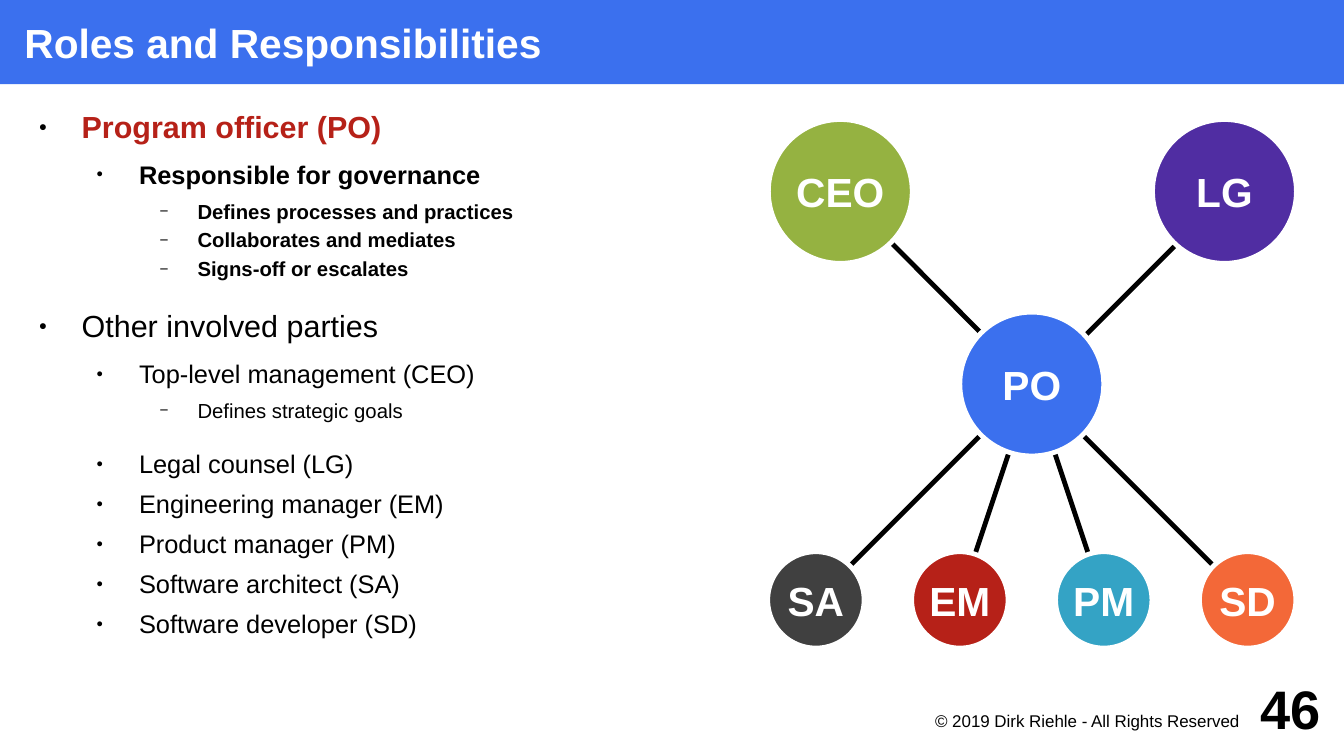
from dataclasses import dataclass

from lxml import etree
from pptx import Presentation
from pptx.dml.color import RGBColor
from pptx.enum import shapes, text
from pptx.oxml import ns
from pptx.util import Inches, Pt


@dataclass(frozen=True)
class Theme:
    font: str = "Arial"
    white: str = "FFFFFF"
    black: str = "000000"
    blue: str = "3B70EE"
    red: str = "B62118"
    green: str = "95B241"
    purple: str = "502DA2"
    gray: str = "404040"
    cyan: str = "34A3C5"
    orange: str = "F36838"
    heading_size: float = 24
    number_size: float = 32
    copyright_size: float = 10
    stroke: float = 2.83


THEME = Theme()


@dataclass(frozen=True)
class Level:
    size: float
    line_height: float
    after: float
    margin: float
    hanging: float
    bullet: str
    bullet_percent: int


@dataclass(frozen=True)
class Point:
    level: int
    wording: str
    bold: bool = False
    color: str = THEME.black
    gap: float = 0


@dataclass(frozen=True)
class Role:
    label: str
    x: float
    y: float
    diameter: float
    color: str


@dataclass(frozen=True)
class Link:
    role: Role
    drop: float = 0


LEVELS = [
    Level(18, 21.4, 8.4, 0.47, 0.35, "●", 45),
    Level(15, 17.9, 5.7, 0.94, 0.35, "●", 45),
    Level(12, 14.3, 2.8, 1.42, 0.31, "−", 75),
]
SECTION_GAP = 12.9

POINTS = [
    Point(0, "Program officer (PO)", True, THEME.red),
    Point(1, "Responsible for governance", True),
    Point(2, "Defines processes and practices", True),
    Point(2, "Collaborates and mediates", True),
    Point(2, "Signs-off or escalates", True, gap=SECTION_GAP),
    Point(0, "Other involved parties"),
    Point(1, "Top-level management (CEO)"),
    Point(2, "Defines strategic goals", gap=SECTION_GAP),
    Point(1, "Legal counsel (LG)"),
    Point(1, "Engineering manager (EM)"),
    Point(1, "Product manager (PM)"),
    Point(1, "Software architect (SA)"),
    Point(1, "Software developer (SD)"),
]

LARGE, SMALL = 1.18, 0.79
officer = Role("PO", 8.46, 3.15, LARGE, THEME.blue)
ceo = Role("CEO", 6.89, 1.57, LARGE, THEME.green)
legal = Role("LG", 10.04, 1.57, LARGE, THEME.purple)
TEAM_LEFT, TEAM_STEP, TEAM_Y = 6.69, 1.18, 4.92
team = [
    Role(label, TEAM_LEFT + i * TEAM_STEP, TEAM_Y, SMALL, color)
    for i, (label, color) in enumerate([
        ("SA", THEME.gray), ("EM", THEME.red),
        ("PM", THEME.cyan), ("SD", THEME.orange),
    ])
]
links = [Link(ceo), Link(legal, 0.04), *map(Link, team)]


def rgb(color: str) -> RGBColor:
    return RGBColor.from_string(color)


def style(paragraph, size: float, color: str, bold: bool = False) -> None:
    font = paragraph.font
    font.name = THEME.font
    font.size = Pt(size)
    font.bold = bold
    font.color.rgb = rgb(color)


def set_frame(frame, insets: tuple, anchor, wrap: bool = True) -> None:
    frame.word_wrap = wrap
    frame.vertical_anchor = anchor
    (frame.margin_left, frame.margin_top,
     frame.margin_right, frame.margin_bottom) = map(Inches, insets)


def add_label(frame, wording: str, align, size: float, color: str, bold: bool) -> None:
    paragraph = frame.paragraphs[0]
    paragraph.text = wording
    paragraph.alignment = align
    style(paragraph, size, color, bold)


def add_filled(slide, kind, box: tuple, color: str):
    shape = slide.shapes.add_shape(kind, *map(Inches, box))
    shape.shadow.inherit = False
    shape.fill.solid()
    shape.fill.fore_color.rgb = rgb(color)
    return shape


def add_title(slide, wording: str) -> None:
    banner = add_filled(slide, shapes.MSO_SHAPE.RECTANGLE, (0, 0, 11.02, 0.69), THEME.blue)
    banner.line.fill.background()
    set_frame(banner.text_frame, (0.2, 0, 0, 0), text.MSO_ANCHOR.MIDDLE)
    add_label(banner.text_frame, wording, text.PP_ALIGN.LEFT,
              THEME.heading_size, THEME.white, True)


def add_link(slide, link: Link) -> None:
    ends = (link.role.x, link.role.y + link.drop, officer.x, officer.y + link.drop)
    line = slide.shapes.add_connector(shapes.MSO_CONNECTOR.STRAIGHT, *map(Inches, ends))
    line.line.color.rgb = rgb(THEME.black)
    line.line.width = Pt(THEME.stroke)
    etree.SubElement(line._element.spPr, ns.qn("a:effectLst"))


def add_role(slide, role: Role) -> None:
    radius = role.diameter / 2
    box = (role.x - radius, role.y - radius, role.diameter, role.diameter)
    circle = add_filled(slide, shapes.MSO_SHAPE.OVAL, box, role.color)
    circle.line.color.rgb = rgb(THEME.white)
    circle.line.width = Pt(THEME.stroke)
    set_frame(circle.text_frame, (0.08,) * 4, text.MSO_ANCHOR.MIDDLE, False)
    add_label(circle.text_frame, role.label, text.PP_ALIGN.CENTER,
              THEME.heading_size, THEME.white, True)


def add_bullet(paragraph, level: Level) -> None:
    props = paragraph._p.get_or_add_pPr()
    props.set("marL", str(Inches(level.margin)))
    props.set("indent", str(-Inches(level.hanging)))
    tint = etree.SubElement(props, ns.qn("a:buClr"))
    etree.SubElement(tint, ns.qn("a:srgbClr"), val=THEME.black)
    etree.SubElement(props, ns.qn("a:buSzPct"), val=str(level.bullet_percent * 1000))
    etree.SubElement(props, ns.qn("a:buFont"), typeface=THEME.font)
    etree.SubElement(props, ns.qn("a:buChar"), char=level.bullet)


def add_points(slide, points: list[Point]) -> None:
    outline = slide.shapes.add_textbox(*map(Inches, (0.2, 0.89, 10.63, 4.53))).text_frame
    set_frame(outline, (0,) * 4, text.MSO_ANCHOR.TOP)
    for i, point in enumerate(points):
        paragraph = outline.add_paragraph() if i else outline.paragraphs[0]
        level = LEVELS[point.level]
        paragraph.text = point.wording
        paragraph.level = point.level
        paragraph.line_spacing = Pt(level.line_height)
        paragraph.space_after = Pt(level.after + point.gap)
        add_bullet(paragraph, level)
        style(paragraph, level.size, point.color, point.bold)


def add_footer(slide, wording: str, box: tuple, insets: tuple, anchor,
               size: float, bold: bool) -> None:
    frame = slide.shapes.add_textbox(*map(Inches, box)).text_frame
    set_frame(frame, insets, anchor)
    add_label(frame, wording, text.PP_ALIGN.RIGHT, size, THEME.black, bold)


def main() -> None:
    deck = Presentation()
    deck.slide_width, deck.slide_height = Inches(11.02), Inches(6.2)
    slide = deck.slides.add_slide(deck.slide_layouts[6])
    add_title(slide, "Roles and Responsibilities")
    for link in links:
        add_link(slide, link)
    for role in [*team, officer, legal, ceo]:
        add_role(slide, role)
    add_points(slide, POINTS)
    add_footer(slide, "© 2019 Dirk Riehle - All Rights Reserved", (7.09, 5.81, 3.15, 0.3),
               (0, 0.02, 0.08, 0), text.MSO_ANCHOR.TOP, THEME.copyright_size, False)
    add_footer(slide, "46", (10.04, 5.51, 0.79, 0.59), (0,) * 4,
               text.MSO_ANCHOR.MIDDLE, THEME.number_size, True)
    deck.save("out.pptx")


if __name__ == "__main__":
    main()
